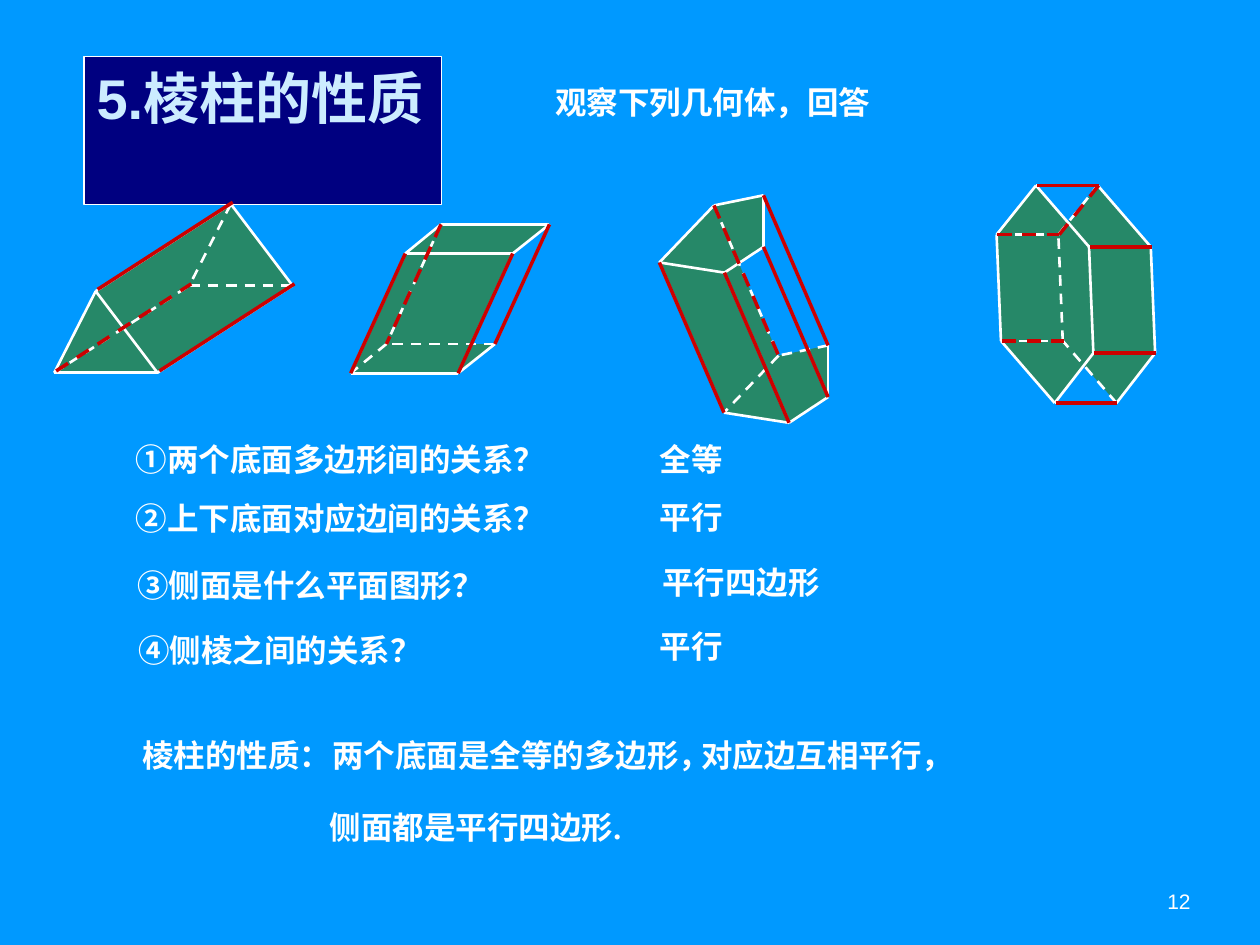
from dataclasses import dataclass

from lxml.etree import SubElement
from pptx import Presentation
from pptx.dml.color import RGBColor
from pptx.enum.dml import MSO_LINE
from pptx.enum.shapes import MSO_CONNECTOR
from pptx.enum.text import MSO_ANCHOR, MSO_AUTO_SIZE, PP_ALIGN
from pptx.oxml.ns import qn
from pptx.util import Pt

SKY = RGBColor(0x00, 0x99, 0xFF)
NAVY = RGBColor(0x00, 0x00, 0x80)
PALE = RGBColor(0xCC, 0xEC, 0xFF)
WHITE = RGBColor(0xFF, 0xFF, 0xFF)
GREEN = RGBColor(0x26, 0x88, 0x68)
RED = RGBColor(0xCC, 0x00, 0x00)
ARIAL = "Arial"
NOTO = "Noto Sans CJK SC"
TIMES = "Times New Roman"


@dataclass
class Prism:
    base: list
    shift: tuple
    hidden: tuple
    side: tuple
    red_offset: tuple = (0, 0)
    red_far_edges: tuple = ()


PRISMS = [
    Prism([(31, 213), (90, 213), (54.7, 166.4)], (77.2, -49.8),
          hidden=(0,), side=(2, 1), red_offset=(1.1, -1)),
    Prism([(231.6, 144.9), (293, 144.9), (314, 128.2), (252, 128.2)], (-31.2, 68.4),
          hidden=(3,), side=(0, 1)),
    Prism([(376.8, 150), (414, 155.8), (436.3, 141.1), (436.3, 111.6), (408, 117.4)],
          (36.9, 85.8), hidden=(4,), side=(4, 0)),
    Prism([(592, 106), (622.3, 141), (624.8, 201.8), (602.7, 230.3), (572, 194.8),
           (569.5, 134.1)], (35.3, 0), hidden=(4, 5), side=(1, 2),
          red_offset=(0.5, 0), red_far_edges=((0, 5),)),
]

QUESTIONS = [
    (70.6, 247.7, 260.6, True, [("①", NOTO), ("两个底面多边形间的关系？", ARIAL)]),
    (70.6, 281.5, 339.8, True, [("②上下底面对应边间的关系？", ARIAL)]),
    (71.3, 319.7, 212.4, False, [("③侧面是什么平面图形？", ARIAL)]),
    (72, 357.1, 176.4, False, [("④侧棱之间的关系？", ARIAL)]),
]

ANSWERS = [
    (370, 247.7, 96.5, True, [("全等", ARIAL)]),
    (370, 280.8, 90.7, True, [("平行", ARIAL)]),
    (371.5, 318.2, 141.8, True, [("平行四边形", ARIAL)]),
    (370, 355, 79.2, True, [("平行", ARIAL)]),
]

SUMMARY = [
    (74.2, 416.9, 122.4, False, [("棱柱的性质：", ARIAL)]),
    (182.9, 416.9, 283.7, True, [("两个底面是全等的多边形，", ARIAL)]),
    (393.8, 416.9, 233.3, True, [("对应边互相平行", ARIAL), ("，", TIMES)]),
    (181.4, 457.9, 185, False, [("侧面都是平行四边形", NOTO), (".", TIMES)]),
]

PROMPT = (310.3, 43.9, 194.4, False, [("观察下列几何体，回答", ARIAL)])


def format_span(span, font_name, size, color, bold=True):
    span.font.size = Pt(size)
    span.font.bold = bold
    span.font.color.rgb = color
    span.font.name = font_name
    SubElement(span.font._element, qn("a:ea")).set("typeface", NOTO)


def add_label(page, left, top, width, wrap, spans):
    box = page.shapes.add_textbox(Pt(left), Pt(top), Pt(width), Pt(29))
    box.text_frame.word_wrap = wrap
    para = box.text_frame.paragraphs[0]
    for text, font_name in spans:
        span = para.add_run()
        span.text = text
        format_span(span, font_name, 18, WHITE)


def add_title(page):
    title = page.shapes.title
    title.left, title.top, title.width, title.height = Pt(48), Pt(32.4), Pt(204.5), Pt(84.4)
    title.fill.solid()
    title.fill.fore_color.rgb = NAVY
    title.line.color.rgb = WHITE
    title.line.width = Pt(0.75)
    frame = title.text_frame
    frame.text = "5.棱柱的性质"
    frame.word_wrap = True
    frame.auto_size = MSO_AUTO_SIZE.NONE
    frame.vertical_anchor = MSO_ANCHOR.TOP
    para = frame.paragraphs[0]
    para.alignment = PP_ALIGN.LEFT
    format_span(para.runs[0], ARIAL, 32, PALE)


def add_page_number(page):
    box = page.shapes.add_textbox(Pt(516.2), Pt(500.4), Pt(167.8), Pt(28.8))
    frame = box.text_frame
    frame.text = "12"
    frame.word_wrap = True
    frame.vertical_anchor = MSO_ANCHOR.MIDDLE
    frame.margin_left = frame.margin_right = Pt(3.6)
    para = frame.paragraphs[0]
    para.alignment = PP_ALIGN.RIGHT
    format_span(para.runs[0], ARIAL, 12, WHITE, bold=False)


def add_face(group, corners):
    points = [(Pt(x), Pt(y)) for x, y in corners]
    builder = group.shapes.build_freeform(*points[0])
    builder.add_line_segments(points[1:], close=True)
    face = builder.convert_to_shape()
    face.shadow.inherit = False
    face.fill.solid()
    face.fill.fore_color.rgb = GREEN
    face.line.fill.background()


def add_edge(group, start, end, color, width, dashed):
    ends = [Pt(value) for value in (*start, *end)]
    edge = group.shapes.add_connector(MSO_CONNECTOR.STRAIGHT, *ends)
    edge.line.color.rgb = color
    edge.line.width = Pt(width)
    if dashed:
        edge.line.dash_style = MSO_LINE.DASH
    SubElement(edge._element.spPr, qn("a:effectLst"))


def move(point, offset):
    return point[0] + offset[0], point[1] + offset[1]


def add_prism(page, prism):
    group = page.shapes.add_group_shape()
    near = prism.base
    far = [move(point, prism.shift) for point in near]
    first, second = prism.side
    for corners in ([near[first], near[second], far[second], far[first]], far, near):
        add_face(group, corners)
    for index in range(len(near)):
        following = (index + 1) % len(near)
        is_hidden = index in prism.hidden
        add_edge(group, near[index], near[following], WHITE, 1.5, False)
        add_edge(group, far[index], far[following], WHITE, 1.5,
                 is_hidden or following in prism.hidden)
        add_edge(group, near[index], far[index], WHITE, 1.5, is_hidden)
    for index, (start, end) in enumerate(zip(near, far)):
        add_edge(group, move(start, prism.red_offset), move(end, prism.red_offset),
                 RED, 2, index in prism.hidden)
    for start, end in prism.red_far_edges:
        add_edge(group, move(far[start], prism.red_offset),
                 move(far[end], prism.red_offset), RED, 2, True)


def main():
    deck = Presentation()
    deck.slide_width, deck.slide_height = Pt(720), Pt(540)
    page = deck.slides.add_slide(deck.slide_layouts[5])
    page.background.fill.solid()
    page.background.fill.fore_color.rgb = SKY
    add_title(page)
    for label in [PROMPT, *QUESTIONS, *ANSWERS, *SUMMARY]:
        add_label(page, *label)
    for prism in PRISMS:
        add_prism(page, prism)
    add_page_number(page)
    deck.save("out.pptx")


if __name__ == "__main__":
    main()
